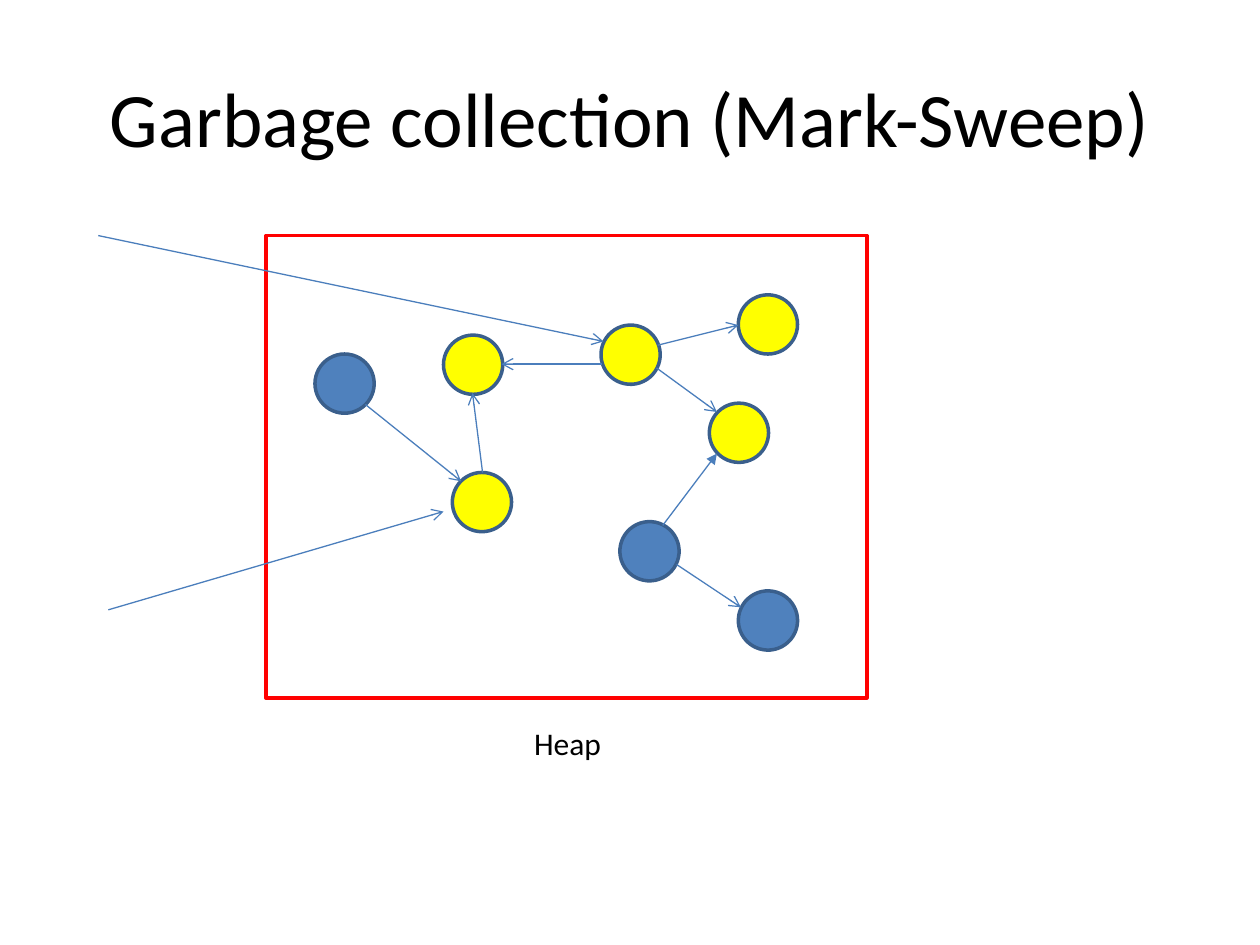
from lxml import etree
from pptx import Presentation
from pptx import util as u
from pptx.dml.color import RGBColor
from pptx.enum import shapes, text
from pptx.oxml.ns import qn


def colour(value):
    return RGBColor.from_string(value)


class HeapDiagram:
    """Draws text, nodes, frames and arrows in one style on one slide."""

    font = "Calibri"
    ink = "000000"
    live, dead = "FFFF00", "4F81BD"
    outline, link, border = "3A5F8C", "4B7EBC", "FF0000"
    diameter = 0.47

    def __init__(self, page):
        self.page = page

    def label(self, words, left, top, width, height, size, wrap=True,
              align=text.PP_ALIGN.LEFT, anchor=text.MSO_ANCHOR.TOP):
        box = self.page.shapes.add_textbox(*map(u.Inches, (left, top, width, height)))
        frame = box.text_frame
        frame.word_wrap = wrap
        frame.vertical_anchor = anchor
        para = frame.paragraphs[0]
        para.alignment = align
        span = para.add_run()
        span.text = words
        span.font.name = self.font
        span.font.size = u.Pt(size)
        span.font.color.rgb = colour(self.ink)
        return box

    def shape(self, kind, left, top, width, height, line, fill=None):
        item = self.page.shapes.add_shape(kind, *map(u.Inches, (left, top, width, height)))
        item.shadow.inherit = False
        if fill:
            item.fill.solid()
            item.fill.fore_color.rgb = colour(fill)
        else:
            item.fill.background()
        item.line.color.rgb = colour(line)
        item.line.width = u.Pt(2)
        return item

    def node(self, left, top, fill, rotation=0):
        circle = self.shape(shapes.MSO_SHAPE.OVAL, left, top,
                            self.diameter, self.diameter, self.outline, fill)
        circle.rotation = rotation

    def frame(self, left, top, width, height):
        self.shape(shapes.MSO_SHAPE.RECTANGLE, left, top, width, height, self.border)

    def arrow(self, start, end, tip="arrow"):
        line = self.page.shapes.add_connector(
            shapes.MSO_CONNECTOR.STRAIGHT, *map(u.Inches, start + end))
        line.line.color.rgb = colour(self.link)
        line.line.width = u.Pt(0.75)
        etree.SubElement(line.line._get_or_add_ln(), qn("a:tailEnd"), type=tip)
        etree.SubElement(line._element.spPr, qn("a:effectLst"))


deck = Presentation()
deck.slide_width, deck.slide_height = u.Inches(10), u.Inches(7.5)
diagram = HeapDiagram(deck.slides.add_slide(deck.slide_layouts[6]))

diagram.label("Garbage collection (Mark-Sweep)", 0.5, 0.3, 9, 1.25, 44,
              align=text.PP_ALIGN.CENTER, anchor=text.MSO_ANCHOR.MIDDLE)

for node in (
    (2.5, 2.81, diagram.dead),
    (3.52, 2.66, diagram.live),
    (3.59, 3.75, diagram.live),
    (5.86, 2.34, diagram.live),
    (5.63, 3.2, diagram.live),
    (5.86, 4.69, diagram.dead, 25),
    (4.92, 4.14, diagram.dead, 342),
    (4.77, 2.58, diagram.live, 342),
):
    diagram.node(*node)

for reference in (
    ((2.9, 3.21), (3.66, 3.82)),
    ((3.83, 3.75), (3.75, 3.12)),
    ((4.78, 2.89), (3.98, 2.89)),
    ((5.22, 2.74), (5.86, 2.58)),
    ((5.21, 2.92), (5.69, 3.27)),
    ((5.26, 4.17), (5.69, 3.6), "triangle"),
    ((5.37, 4.48), (5.88, 4.82)),
):
    diagram.arrow(*reference)

diagram.frame(2.11, 1.87, 4.77, 3.67)
heap = diagram.label("Heap", 4.14, 5.7, 0.74, 0.4, 18, wrap=False)
heap.text_frame.auto_size = text.MSO_AUTO_SIZE.SHAPE_TO_FIT_TEXT

for root in (((0.86, 4.84), (3.52, 4.06)), ((0.78, 1.87), (4.79, 2.71))):
    diagram.arrow(*root)

deck.save("out.pptx")
